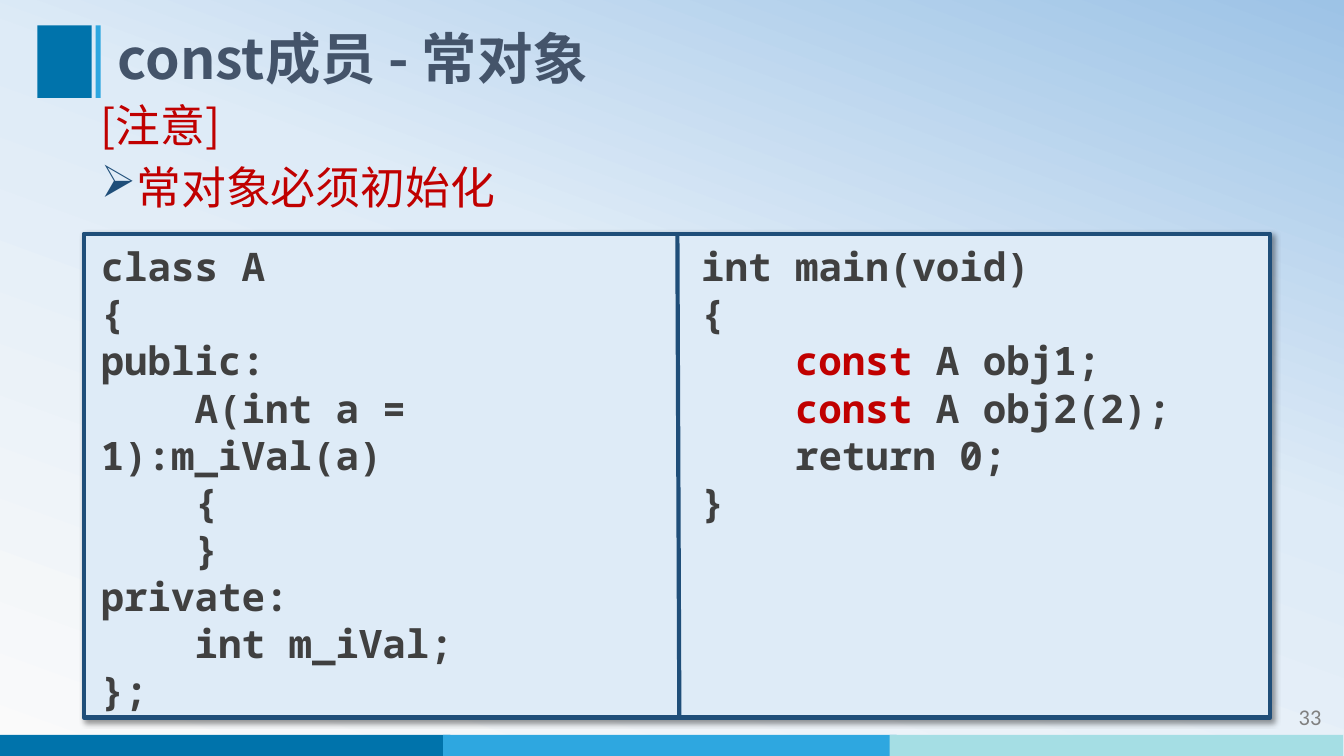
from copy import deepcopy
from lxml.etree import SubElement as Sub
from pptx import Presentation
from pptx.dml.color import RGBColor as RGB
from pptx.enum.shapes import MSO_CONNECTOR as LINE, MSO_SHAPE as SHAPE
from pptx.enum.text import MSO_ANCHOR as ANCHOR, PP_ALIGN as ALIGN
from pptx.oxml.ns import qn
from pptx.util import Cm, Pt

HUES = {
    "deep": "0073AB", "sky": "2EA7E0", "aqua": "A5DEE4",
    "white": "FAFAFA", "pale": "DEEBF7", "blue": "9DC3E6",
    "navy": "1F4E79", "slate": "44546A", "red": "C00000",
    "code": "404040", "grey": "808080",
}
SANS, MONO, NUM = "Noto Sans CJK SC", "Noto Sans Mono", "Calibri"

LEFT = """class A
{
public:
    A(int a = 1):m_iVal(a)
    {
    }
private:
    int m_iVal;
};"""
RIGHT = """int main(void)
{
    const A obj1;
    const A obj2(2);
    return 0;
}"""


def hue(name):
    return RGB.from_string(HUES[name])


class Deck:
    def __init__(self):
        self.prs = Presentation()
        self.prs.slide_width, self.prs.slide_height = Cm(33.87), Cm(19.05)
        self.slide = self.prs.slides.add_slide(self.prs.slide_layouts[6])
        self.shapes = self.slide.shapes

    def back(self, stops, angle):
        fill = self.slide.background.fill
        fill.gradient()
        fill.gradient_angle = angle
        held = next(self.slide.element.iter(qn("a:gsLst")))
        held.append(deepcopy(held[-1]))
        for stop, (pos, name) in zip(fill.gradient_stops, stops):
            stop.position = pos
            stop.color.rgb = hue(name)

    def rect(self, x, y, w, h, fill, edge=None):
        box = self.shapes.add_shape(SHAPE.RECTANGLE, Cm(x), Cm(y), Cm(w), Cm(h))
        box.shadow.inherit = False
        box.fill.solid()
        box.fill.fore_color.rgb = hue(fill)
        if edge:
            box.line.color.rgb = hue(edge)
            box.line.width = Pt(3)
        else:
            box.line.fill.background()
        return box

    def shade(self, box):
        fx = box._element.spPr.find(qn("a:effectLst"))
        drop = Sub(fx, qn("a:outerShdw"), blurRad=str(Pt(4)), dist=str(Pt(3)),
                   dir="2700000", algn="tl", rotWithShape="0")
        tint = Sub(drop, qn("a:srgbClr"), val="000000")
        Sub(tint, qn("a:alpha"), val="40000")

    def text(self, x, y, w, h, words, font, size, color, bold=False,
             anchor=ANCHOR.TOP, align=ALIGN.LEFT, space=1.0):
        frame = self.shapes.add_textbox(Cm(x), Cm(y), Cm(w), Cm(h)).text_frame
        frame.word_wrap = True
        frame.vertical_anchor = anchor
        frame.text = words
        for para in frame.paragraphs:
            para.alignment = align
            para.line_spacing = space
            for run in para.runs:
                self.style(run, font, size, color, bold)
        return frame

    def style(self, run, font, size, color, bold):
        face = run.font
        face.name, face.size, face.bold = font, Pt(size), bold
        face.color.rgb = hue(color)
        Sub(face._element, qn("a:ea"), typeface=font)

    def bullet(self, para, mark, color, indent):
        props = para._p.get_or_add_pPr()
        props.set("marL", str(Cm(indent)))
        props.set("indent", str(-Cm(indent)))
        tint = Sub(props, qn("a:buClr"))
        Sub(tint, qn("a:srgbClr"), val=HUES[color])
        Sub(props, qn("a:buChar"), char=mark)

    def code(self, x, y, w, h, words, key="const"):
        frame = self.text(x, y, w, h, words, MONO, 28, "code", True)
        for para in frame.paragraphs:
            if key in para.text:
                pre, post = para.text.split(key)
                para.runs[0].text = pre
                for part, color in ((key, "red"), (post, "code")):
                    run = para.add_run()
                    run.text = part
                    self.style(run, MONO, 28, color, True)

    def line(self, x1, y1, x2, y2, color):
        rule = self.shapes.add_connector(
            LINE.STRAIGHT, Cm(x1), Cm(y1), Cm(x2), Cm(y2))
        rule.line.color.rgb = hue(color)
        rule.line.width = Pt(3)
        Sub(rule._element.spPr, qn("a:effectLst"))


def main():
    deck = Deck()
    deck.back([(0, "white"), (0.58, "pale"), (1, "blue")], 70)

    # Footer bars and page number
    for i, name in enumerate(("deep", "sky", "aqua")):
        deck.rect(-0.08 + i * 11.25, 18.52, 11.43, 0.53, name)
    deck.text(29.51, 17.55, 4.04, 1.02, "33", NUM, 16, "grey",
              anchor=ANCHOR.MIDDLE, align=ALIGN.RIGHT)

    # Title with its marker
    deck.rect(0.94, 0.64, 1.37, 1.83, "deep")
    deck.rect(2.41, 0.64, 0.13, 1.83, "sky")
    deck.text(2.72, 0.64, 27.58, 1.83, "const成员 - 常对象", SANS, 39.6,
              "slate", True, anchor=ANCHOR.MIDDLE, space=0.9)

    # Note
    note = deck.text(2.29, 2.18, 29.21, 4.04, "[注意]\n常对象必须初始化",
                     SANS, 32, "red")
    note.margin_top = Cm(0.28)
    item = note.paragraphs[1]
    item.space_before = Pt(6)
    deck.bullet(item, "➢", "navy", 0.64)

    # Code panel
    panel = deck.rect(2.11, 5.89, 29.9, 12.19, "pale", "navy")
    deck.shade(panel)
    deck.code(2.29, 5.99, 14.78, 11.02, LEFT)
    deck.code(17.42, 5.99, 14.15, 7.44, RIGHT)
    deck.line(17.07, 5.89, 17.12, 18.08, "navy")

    deck.prs.save("out.pptx")


if __name__ == "__main__":
    main()
